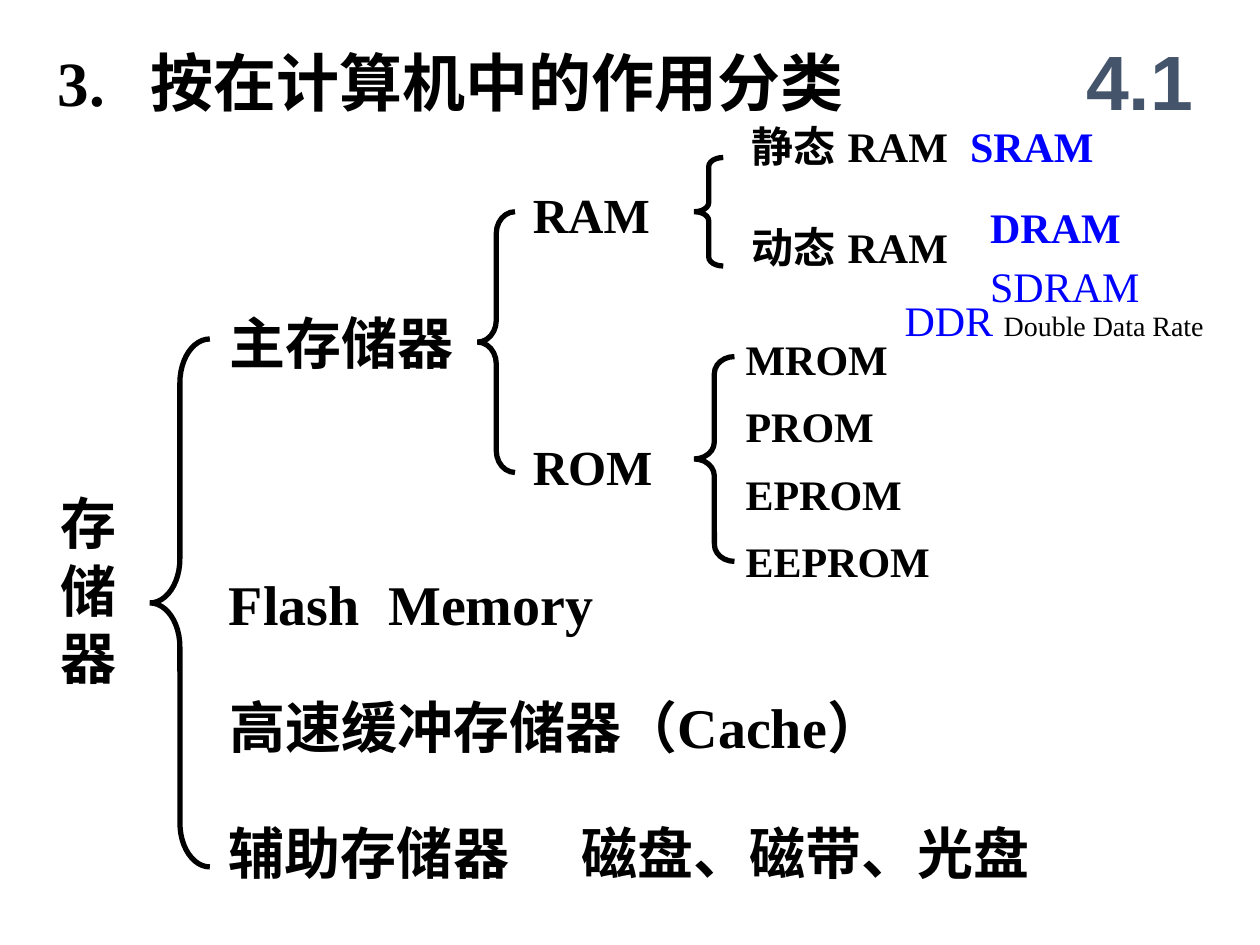
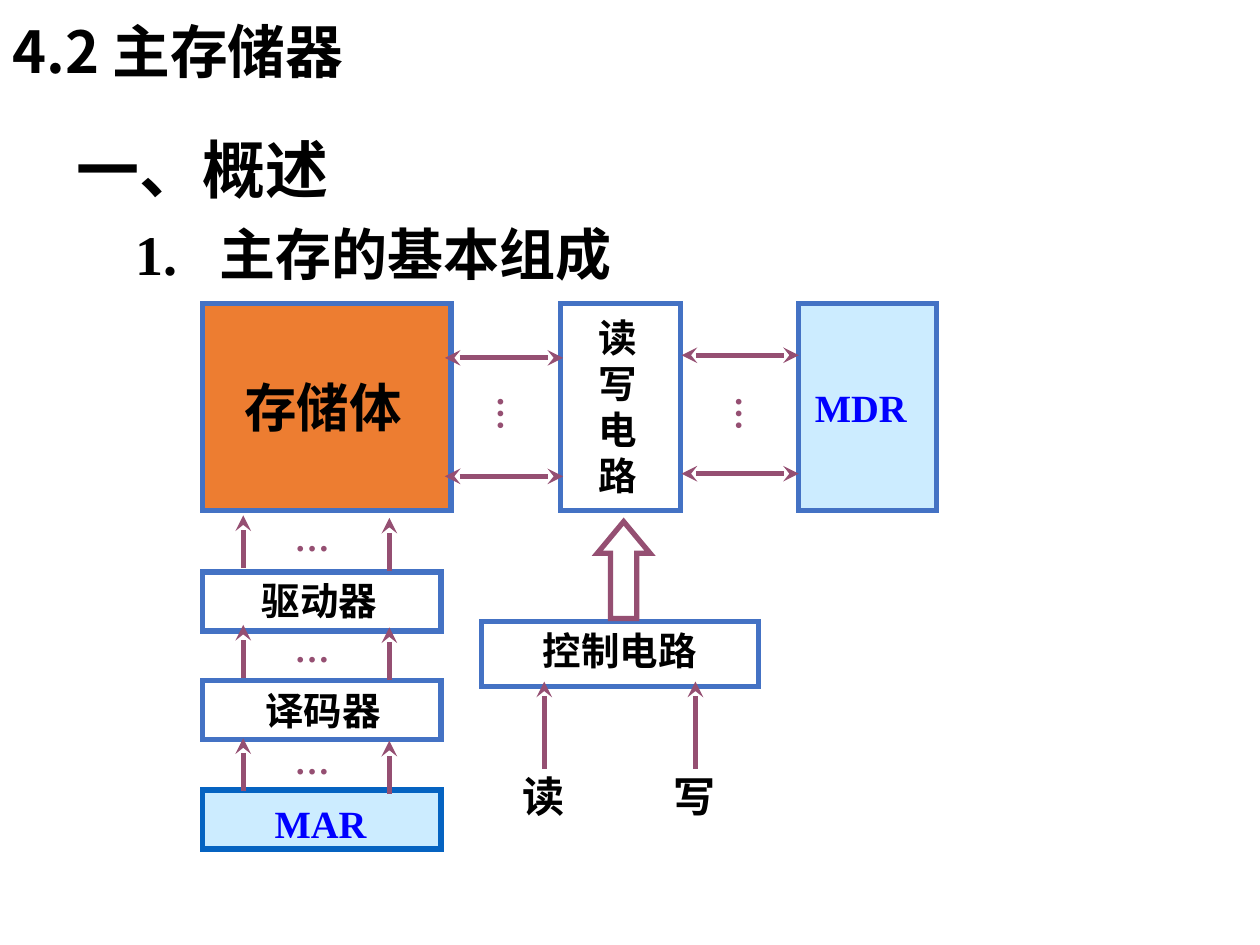
from dataclasses import dataclass

from lxml import etree
from pptx import Presentation
from pptx import util as u
from pptx.dml.color import RGBColor
from pptx.enum import shapes, text
from pptx.oxml import ns


@dataclass(frozen=True)
class Theme:
    black: str = "000000"
    blue: str = "0000FF"
    slate: str = "44546A"
    plum: str = "954F72"
    border: str = "4472C4"
    deep_border: str = "0563C1"
    orange: str = "ED7D31"
    pale: str = "CCECFF"
    serif: str = "Times New Roman"
    sans: str = "Arial"
    cjk: str = "Noto Sans CJK SC"
    stroke: float = 3
    section: float = 44
    heading: float = 36
    title: float = 33
    main: float = 32
    body: float = 30
    branch: float = 28
    leaf: float = 24
    block: float = 22
    dots: float = 20
    note: float = 16


THEME = Theme()


def assign(target, values):
    for name, value in values.items():
        setattr(target, name, value)


def points(*lengths):
    return [u.Pt(length) for length in lengths]


def add_span(para, words, size, color=THEME.black, bold=True,
             face=THEME.serif, east_face=THEME.sans):
    span = para.add_run()
    span.text = words
    assign(span.font, {"size": u.Pt(size), "bold": bold, "name": face})
    span.font.color.rgb = RGBColor.from_string(color)
    east = etree.SubElement(span.font._element, ns.qn("a:ea"))
    east.set("typeface", east_face)


def add_tab_stop(para, position):
    stops = etree.SubElement(para._p.get_or_add_pPr(), ns.qn("a:tabLst"))
    etree.SubElement(stops, ns.qn("a:tab"), pos=str(u.Pt(position)), algn="l")


def add_label(page, lines, place, size, wrap=True, tab=None, middle=False,
              align=text.PP_ALIGN.LEFT, spacing=None, turn=0, **look):
    box = page.shapes.add_textbox(*points(*place))
    box.rotation = turn
    frame = box.text_frame
    anchor = text.MSO_ANCHOR.MIDDLE if middle else text.MSO_ANCHOR.TOP
    assign(frame, {"word_wrap": wrap, "vertical_anchor": anchor})
    for index, words in enumerate(lines.split("\n")):
        para = frame.add_paragraph() if index else frame.paragraphs[0]
        assign(para, {"alignment": align, "line_spacing": spacing})
        if tab:
            add_tab_stop(para, tab)
        add_span(para, words, size, **look)
    return box


def add_outline(page, kind, place, color, fill=None, adjustments=()):
    shape = page.shapes.add_shape(kind, *points(*place))
    shape.shadow.inherit = False
    if fill:
        shape.fill.solid()
        shape.fill.fore_color.rgb = RGBColor.from_string(fill)
    else:
        shape.fill.background()
    shape.line.color.rgb = RGBColor.from_string(color)
    shape.line.width = u.Pt(THEME.stroke)
    line = shape.line._get_or_add_ln()
    etree.SubElement(line, ns.qn("a:miter"), lim="800000")
    for index, value in enumerate(adjustments):
        shape.adjustments[index] = value


def add_block(page, place, fill=None, border=THEME.border):
    add_outline(page, shapes.MSO_SHAPE.RECTANGLE, place, border, fill)


def add_brace(page, left, top, width, height):
    curl = height / 12 / width
    add_outline(page, shapes.MSO_SHAPE.LEFT_BRACE, (left, top, width, height),
                THEME.black, adjustments=(curl, 0.5))


def add_arrow(page, start, end, both=False):
    arrow = page.shapes.add_connector(
        shapes.MSO_CONNECTOR.STRAIGHT, *points(*start, *end))
    arrow.line.color.rgb = RGBColor.from_string(THEME.plum)
    arrow.line.width = u.Pt(THEME.stroke)
    line = arrow.line._get_or_add_ln()
    for tip in ("a:headEnd", "a:tailEnd") if both else ("a:tailEnd",):
        etree.SubElement(line, ns.qn(tip), type="stealth")
    etree.SubElement(arrow._element.spPr, ns.qn("a:effectLst"))


def add_dots(page, left, top, turn=0):
    add_label(page, "…", (left, top, 45.4, 31.7), THEME.dots,
              color=THEME.plum, turn=turn)


def build_classification(page):
    add_label(page, "3.\t按在计算机中的作用分类", (25.9, 21.6, 468, 50.4),
              THEME.heading, tab=53)
    add_label(page, "4.1", (606.2, 12.2, 90, 66.2), THEME.section, middle=True,
              align=text.PP_ALIGN.CENTER, color=THEME.slate, face=THEME.sans)

    add_label(page, "存\n储\n器", (27.4, 275.8, 48, 122.4), THEME.main)
    for words, left, top, width in (
            ("主存储器", 123.8, 172.8, 148),
            ("Flash\tMemory", 123.8, 321.8, 296),
            ("高速缓冲存储器（Cache）", 123.8, 392.4, 445.7),
            ("辅助存储器", 123.8, 464.4, 180),
            ("磁盘、磁带、光盘", 325.4, 464.4, 280.8)):
        add_label(page, words, (left, top, width, 46), THEME.main, tab=91)

    for words, top in (("RAM", 102.2), ("ROM", 246.2)):
        add_label(page, words, (297.4, top, 96, 41), THEME.branch)
    for row, words in enumerate(("静态 RAM", "动态 RAM")):
        add_label(page, words, (422.6, 65.5 + 57.6 * row, 190, 36), THEME.leaf)
    for row, words in enumerate(("MROM", "PROM", "EPROM", "EEPROM")):
        add_label(page, words, (419, 187.2 + 38.4 * row, 150, 36), THEME.leaf)

    for words, left, top, bold in (("SRAM", 547.2, 65.5, True),
                                   ("DRAM", 558.7, 111.6, True),
                                   ("SDRAM", 558.7, 145.4, False)):
        add_label(page, words, (left, top, 106, 36), THEME.leaf,
                  color=THEME.blue, bold=bold)
    rate = add_label(page, "DDR ", (509.8, 164.9, 193, 36), THEME.leaf,
                     color=THEME.blue, bold=False)
    add_span(rate.text_frame.paragraphs[0], "Double Data Rate", THEME.note,
             bold=False)

    for place in ((85.7, 193.7, 34.2, 301.7), (272.9, 121, 21.4, 149),
                  (396.7, 90, 16.6, 62), (396.7, 203.8, 23, 117)):
        add_brace(page, *place)


def build_main_memory(page):
    add_label(page, "4.2 主存储器", (0, -13.7, 612, 90), THEME.title,
              middle=True, spacing=0.9, face=THEME.cjk, east_face=THEME.cjk)
    add_label(page, "一、概述", (36.7, 71.3, 300, 50.4), THEME.heading)
    add_label(page, "1.\t主存的基本组成", (70.6, 121.7, 442, 46), THEME.main,
              tab=47.5)

    add_block(page, (115.9, 173.5, 141.8, 118.1), THEME.orange)
    add_block(page, (320.4, 173.5, 68.4, 118.1))
    add_block(page, (456.5, 173.5, 78.5, 118.1), THEME.pale)
    add_block(page, (115.9, 326.9, 136.1, 33.8))
    add_block(page, (115.9, 388.8, 136.1, 33.8))
    add_block(page, (115.9, 451.4, 136.1, 33.8), THEME.pale, THEME.deep_border)
    add_block(page, (275, 355, 158.4, 37.4))
    add_outline(page, shapes.MSO_SHAPE.UP_ARROW, (341.3, 298.1, 30.2, 55.4),
                THEME.plum, adjustments=(0.5, 0.6))

    add_label(page, "存储体", (132.5, 211, 109.4, 43.2), THEME.body)
    add_label(page, "读\n写\n电\n路", (334.8, 175.7, 38.9, 113), THEME.block)
    for words, left, top, width, color in (
            ("驱动器", 142.6, 326.2, 98.6, THEME.black),
            ("译码器", 144.7, 388.8, 98.6, THEME.black),
            ("控制电路", 303.1, 355, 130, THEME.black),
            ("MAR", 149.8, 453.6, 76, THEME.blue),
            ("MDR", 458.6, 216, 76, THEME.blue)):
        add_label(page, words, (left, top, width, 33.8), THEME.block,
                  color=color)

    for left, right, top in ((254.2, 321.8, 204.5), (389.5, 456.5, 203)):
        for y in (top, top + 67.7):
            add_arrow(page, (left, y), (right, y), both=True)
    for top in (294.5, 357.1, 421.9):
        for x, y in ((139, top), (222.5, top + 1.4)):
            add_arrow(page, (x, y + 30.2), (x, y))
    for words, x in (("读", 311), ("写", 397.4)):
        add_arrow(page, (x, 439.2), (x, 389.5))
        add_label(page, words, (x - 19.4, 437, 42, 36), THEME.leaf)

    for top in (291.6, 355, 419):
        add_dots(page, 161.3, top)
    for left in (257, 393.1):
        add_dots(page, left, 215.3, turn=270)


def main():
    deck = Presentation()
    assign(deck, {"slide_width": u.Pt(720), "slide_height": u.Pt(540)})
    for build in (build_classification, build_main_memory):
        build(deck.slides.add_slide(deck.slide_layouts[6]))
    deck.save("out.pptx")


if __name__ == "__main__":
    main()
